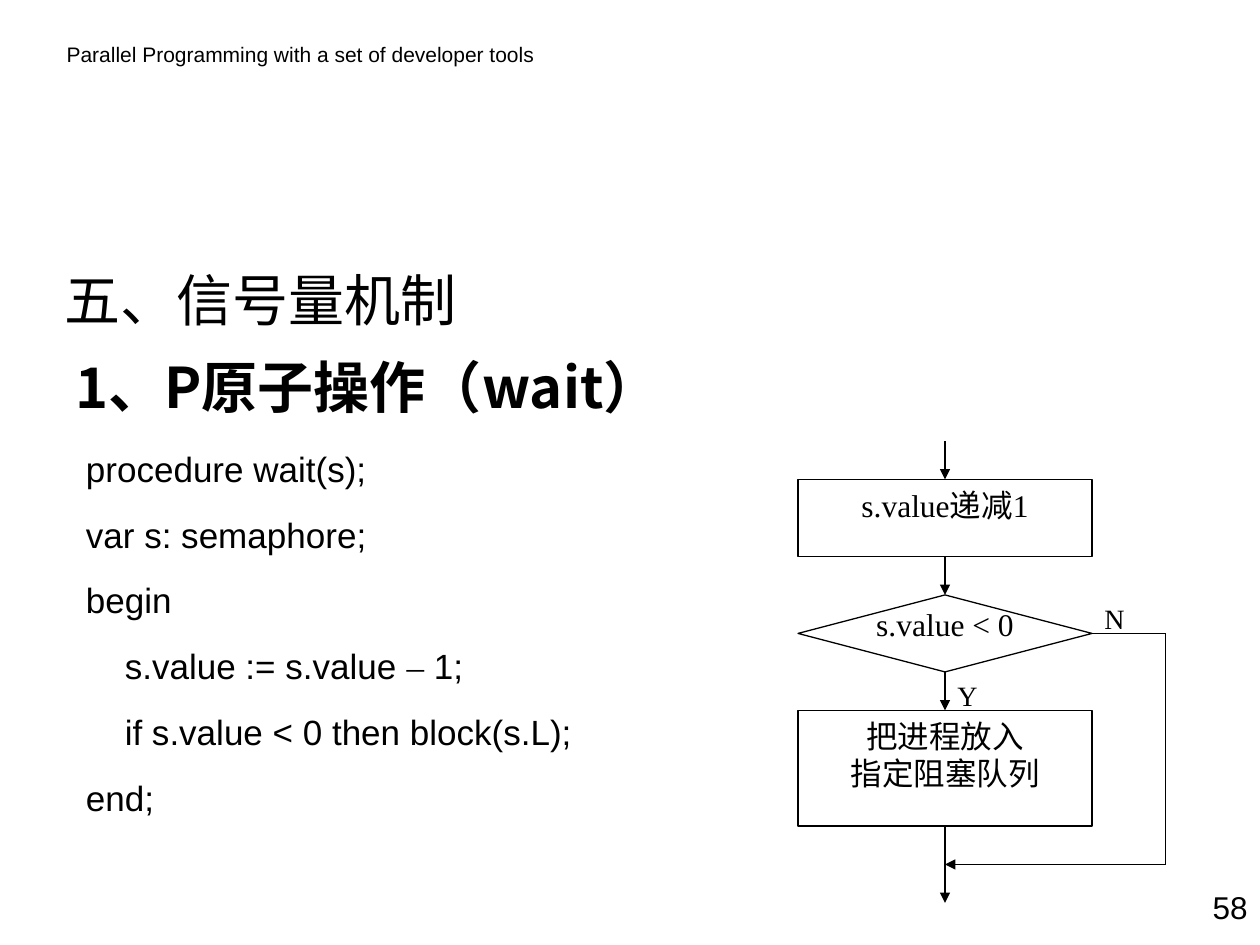
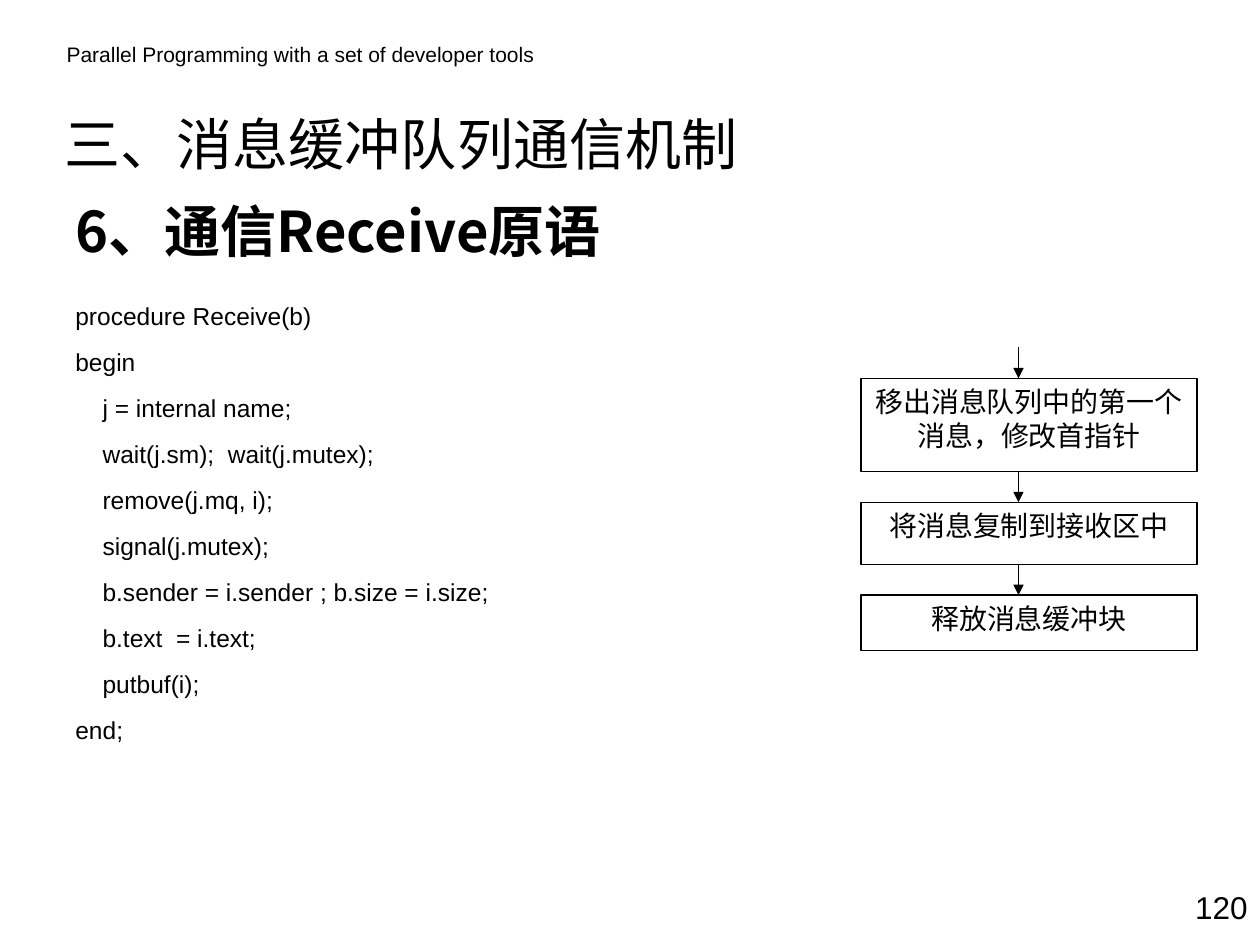
from dataclasses import dataclass

from lxml import etree
from pptx import Presentation
from pptx.dml.color import RGBColor
from pptx.enum.shapes import MSO_CONNECTOR, MSO_SHAPE
from pptx.enum.text import MSO_ANCHOR, PP_ALIGN
from pptx.oxml.ns import qn
from pptx.util import Pt

RECT, DECISION = MSO_SHAPE.RECTANGLE, MSO_SHAPE.FLOWCHART_DECISION
STRAIGHT = MSO_CONNECTOR.STRAIGHT
LEFT, CENTER, RIGHT = PP_ALIGN.LEFT, PP_ALIGN.CENTER, PP_ALIGN.RIGHT
TOP, MIDDLE = MSO_ANCHOR.TOP, MSO_ANCHOR.MIDDLE


@dataclass(frozen=True)
class Theme:
    ink: RGBColor = RGBColor(0, 0, 0)
    paper: RGBColor = RGBColor(255, 255, 255)
    sans: str = "Arial"
    serif: str = "Times New Roman"
    cjk: str = "Noto Sans CJK SC"
    header: int = 12
    title: int = 32
    number: int = 18
    line: float = 0.75


T = Theme()
HEADER = "Parallel Programming with a set of developer tools"


def write(tf, lines, size, font, align=LEFT, bold=False, gap=0,
          spacing=None, anchor=TOP):
    """Fill a text frame, one paragraph a line; en dashes are set in serif."""
    tf.word_wrap = True
    tf.vertical_anchor = anchor
    tf.margin_left = tf.margin_right = Pt(7.2)
    tf.margin_top = tf.margin_bottom = Pt(3.6)
    for i, line in enumerate(lines):
        p = tf.add_paragraph() if i else tf.paragraphs[0]
        p.alignment = align
        if i:
            p.space_before = Pt(gap)
        if spacing:
            p.line_spacing = spacing
        f = p.font
        f.size, f.name, f.bold = Pt(size), font, bold
        f.color.rgb = T.ink
        etree.SubElement(f._element, qn("a:ea")).set("typeface", T.cjk)
        for piece in filter(None, line.partition("–")):
            r = p.add_run()
            r.text = piece
            if piece == "–":
                r.font.name = T.serif


def add_text(s, box, lines, size, font, **style):
    tb = s.shapes.add_textbox(*map(Pt, box))
    write(tb.text_frame, lines, size, font, **style)


def add_step(s, kind, box, lines=(), size=18):
    sp = s.shapes.add_shape(kind, *map(Pt, box))
    sp.shadow.inherit = False
    sp.fill.solid()
    sp.fill.fore_color.rgb = T.paper
    sp.line.color.rgb = T.ink
    sp.line.width = Pt(T.line)
    write(sp.text_frame, lines, size, T.serif, align=CENTER)


def add_line(s, x1, y1, x2, y2, arrow=True):
    c = s.shapes.add_connector(STRAIGHT, *map(Pt, (x1, y1, x2, y2)))
    c.line.color.rgb = T.ink
    c.line.width = Pt(T.line)
    if arrow:
        tail = etree.SubElement(c.line._get_or_add_ln(), qn("a:tailEnd"))
        tail.set("type", "triangle")
    etree.SubElement(c._element.spPr, qn("a:effectLst"))


def add_frame(prs, top, title, subtitle, number):
    """Add a slide with header, headings starting at top, and page number."""
    s = prs.slides.add_slide(prs.slide_layouts[6])
    add_text(s, (31, 20, 330, 21.6), [HEADER], T.header, T.sans)
    add_text(s, (30, top, 408, 54), [title], T.title, T.cjk, anchor=MIDDLE)
    add_text(s, (36, top + 54, 670, 70), [subtitle], T.title, T.cjk, bold=True)
    add_text(s, (655, 503.6, 65, 29), [number], T.number, T.sans, align=RIGHT)
    return s


def wait_flow(s, x, y, w, h):
    """Draw the wait flow in a box whose height is twelve equal units."""
    u, mid, right, bypass = h / 12, x + w / 2, x + w, x + 1.25 * w
    test_y, join_y = y + 5 * u, y + 11 * u
    add_step(s, RECT, (x, y + u, w, 2 * u), ["s.value递减1"])
    test = (x, y + 4 * u, w, 2 * u)
    add_step(s, DECISION, test)
    add_text(s, test, ["s.value < 0"], 18, T.serif, align=CENTER, spacing=1.1)
    add_step(s, RECT, (x, y + 7 * u, w, 3 * u), ["把进程放入", "指定阻塞队列"])
    for start, end in ((0, 1), (3, 4), (6, 7), (10, 12)):
        add_line(s, mid, y + start * u, mid, y + end * u)
    add_line(s, right, test_y, bypass, test_y, arrow=False)
    add_line(s, bypass, test_y, bypass, join_y, arrow=False)
    add_line(s, bypass, join_y, mid, join_y)
    for label, lx, ly in (("N", right, y + 4 * u), ("Y", mid, y + 6 * u)):
        add_text(s, (lx, ly, 42, 1.5 * u), [label], 16, T.serif)


def receive_flow(s, x, y, w, u):
    """Stack the receive steps, each below an arrow of length u."""
    steps = (("移出消息队列中的第一个消息，修改首指针", 3),
             ("将消息复制到接收区中", 2),
             ("释放消息缓冲块", 1.8))
    for text, units in steps:
        add_line(s, x + 90, y, x + 90, y + u)
        add_step(s, RECT, (x, y + u, w, units * u), [text], size=16)
        y += (units + 1) * u


def wait_slide(prs):
    s = add_frame(prs, 144, "五、信号量机制", "1、P原子操作（wait）", "58")
    code = ["procedure wait(s);",
            "var s: semaphore;",
            "begin",
            "    s.value := s.value – 1;",
            "    if s.value < 0 then block(s.L);",
            "end;"]
    add_text(s, (42, 252, 300, 214), code, 20, T.sans, gap=13.6)
    wait_flow(s, 456, 252, 168, 264)


def receive_slide(prs):
    s = add_frame(prs, 54.6, "三、消息缓冲队列通信机制", "6、通信Receive原语", "120")
    code = ["procedure Receive(b)",
            "begin",
            "    j = internal name;",
            "    wait(j.sm);  wait(j.mutex);",
            "    remove(j.mq, i);",
            "    signal(j.mutex);",
            "    b.sender = i.sender ; b.size = i.size;",
            "    b.text  = i.text;",
            "    putbuf(i);",
            "end;"]
    add_text(s, (36, 168.5, 432, 254), code, 14, T.sans, gap=9.5)
    receive_flow(s, 492, 198.5, 192, 17.7)


def main():
    prs = Presentation()
    prs.slide_width, prs.slide_height = Pt(720), Pt(540)
    wait_slide(prs)
    receive_slide(prs)
    prs.save("out.pptx")


if __name__ == "__main__":
    main()
